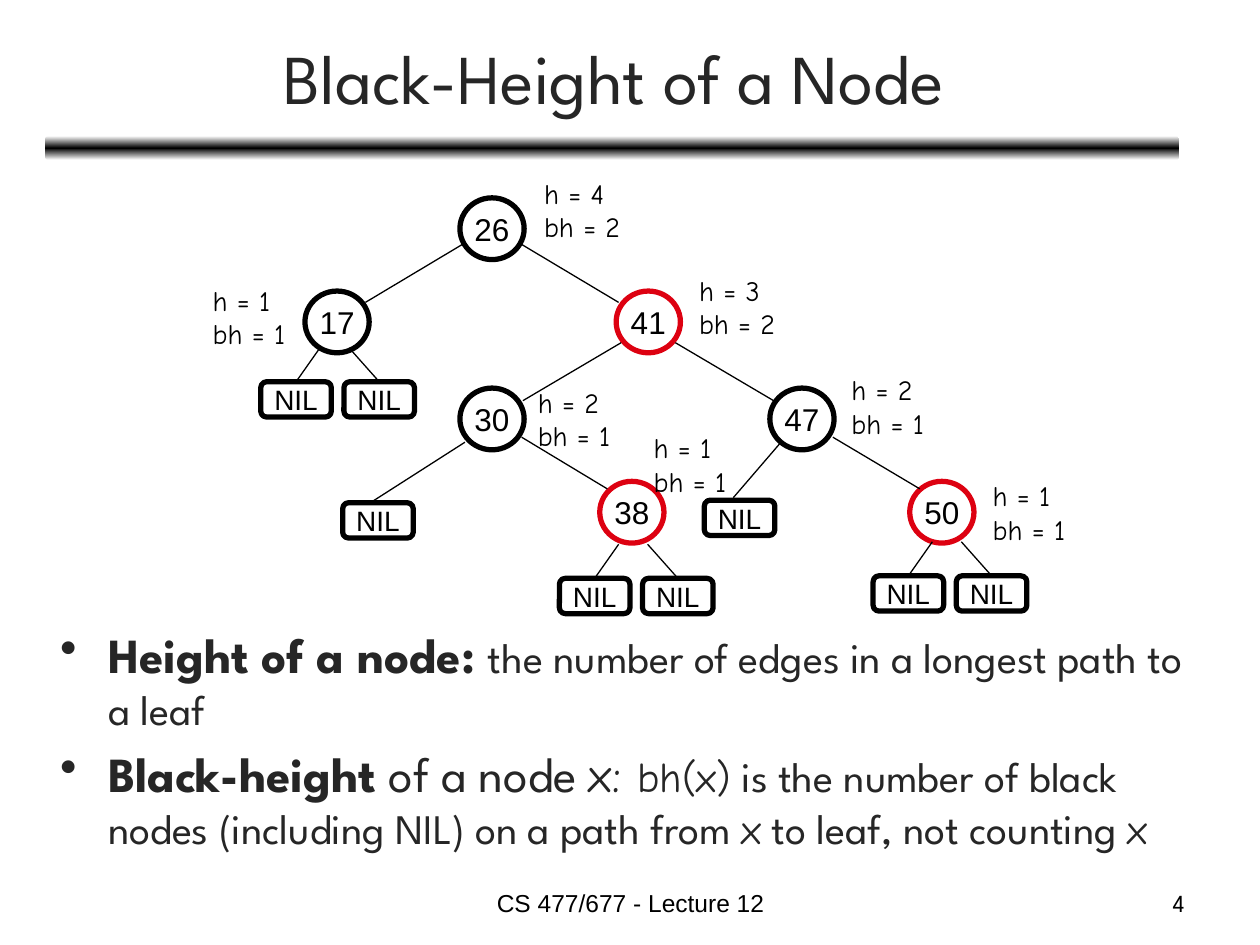
from copy import deepcopy

from pptx import Presentation
from pptx.dml.color import RGBColor
from pptx.enum.shapes import MSO_CONNECTOR, MSO_SHAPE
from pptx.enum.text import MSO_ANCHOR, PP_ALIGN
from pptx.oxml.ns import qn
from pptx.oxml.xmlchemy import OxmlElement
from pptx.util import Inches, Pt

COLORS = {"black": "000000", "white": "FFFFFF", "red": "DD0111", "ink": "262626"}
SPARTAN, COMIC, ARIAL = "League Spartan", "Comic Neue", "Arial"

TITLE = {"name": SPARTAN, "size": Pt(40), "color": "ink"}
FOOT = {"name": ARIAL, "size": Pt(14), "color": "black"}
PAGE = {**FOOT, "name": SPARTAN}
KEY = {"name": ARIAL, "size": Pt(18), "color": "black"}
LEAF = {**KEY, "size": Pt(16)}
NOTE = {**LEAF, "name": COMIC}
BODY = {"name": SPARTAN, "size": Pt(24), "color": "ink", "bold": False}
LARGE = {**BODY, "size": Pt(28)}
TERM = {**LARGE, "bold": True}
MATH = {**BODY, "name": COMIC}

# key, line colour, circle left and top, label left and top, h, bh
NODES = [
    ("26", "black", 2.15, 0.27, 2.72, 0.05, 4, 2),
    ("17", "black", 0.92, 1.01, 0.09, 0.9, 1, 1),
    ("41", "red", 3.39, 1.01, 3.95, 0.82, 3, 2),
    ("30", "black", 2.15, 1.78, 2.67, 1.71, 2, 1),
    ("47", "black", 4.61, 1.78, 5.16, 1.61, 2, 1),
    ("38", "red", 3.26, 2.52, 3.59, 2.07, 1, 1),
    ("50", "red", 5.72, 2.52, 6.28, 2.45, 1, 1),
]
EDGES = [
    (2.17, 0.64, 1.4, 1.1), (2.64, 0.64, 3.41, 1.1),
    (3.43, 1.42, 2.65, 1.88), (3.86, 1.42, 4.64, 1.88),
    (2.64, 2.17, 3.32, 2.58), (5.11, 2.17, 5.8, 2.58),
    (2.19, 2.21, 1.44, 2.69), (4.69, 2.22, 4.32, 2.65),
]
PAIRS = [(0.57, 1.73), (2.94, 3.29), (5.43, 3.27)]
SINGLES = [(1.22, 2.69), (4.09, 2.67)]

POINTS = [
    [("Height of a node: ", TERM),
     ("the number of edges in a longest path to a leaf", BODY)],
    [("Black-height ", TERM), ("of a node ", LARGE),
     ("x: ", {**MATH, "size": Pt(28)}), ("bh(x)", MATH),
     (" is the number of black nodes (including NIL) on a path from ", BODY),
     ("x", MATH), (" to leaf, not counting ", BODY), ("x", MATH)],
]


def color(name):
    return RGBColor.from_string(COLORS[name])


def add_run(para, text, style):
    run = para.add_run()
    run.text = text
    for key, value in style.items():
        if key == "color":
            run.font.color.rgb = color(value)
        else:
            setattr(run.font, key, value)


def add_text(slide, box, lines, style, align=PP_ALIGN.LEFT, wrap=True,
             anchor=MSO_ANCHOR.TOP):
    frame = slide.shapes.add_textbox(*map(Inches, box)).text_frame
    frame.word_wrap, frame.vertical_anchor = wrap, anchor
    for i, line in enumerate(lines):
        para = frame.add_paragraph() if i else frame.paragraphs[0]
        para.alignment = align
        add_run(para, line, style)


def add_node(slide, kind, box, text, style, line):
    """Add an outlined tree node with centred text."""
    node = slide.shapes.add_shape(kind, *map(Inches, box))
    node.shadow.inherit = False
    node.fill.background()
    node.line.color.rgb, node.line.width = color(line), Pt(3)
    frame = node.text_frame
    frame.word_wrap, frame.vertical_anchor = False, MSO_ANCHOR.MIDDLE
    frame.paragraphs[0].alignment = PP_ALIGN.CENTER
    add_run(frame.paragraphs[0], text, style)
    return node


def add_leaf(slide, left, top):
    return add_node(slide, MSO_SHAPE.ROUNDED_RECTANGLE,
                    (left, top, 0.56, 0.28), "NIL", LEAF, "black")


def add_edge(slide, *ends):
    edge = slide.shapes.add_connector(MSO_CONNECTOR.STRAIGHT, *map(Inches, ends))
    edge.line.color.rgb, edge.line.width = color("black"), Pt(0.75)
    edge._element.spPr.append(OxmlElement("a:effectLst"))
    return edge


def add_header(slide, left, top, width):
    add_text(slide, (left, top, width, 0.99), ["Black-Height of a Node"], TITLE,
             PP_ALIGN.CENTER, anchor=MSO_ANCHOR.MIDDLE)
    bar = slide.shapes.add_shape(MSO_SHAPE.ROUNDED_RECTANGLE, Inches(left - 0.01),
                                 Inches(top + 0.97), Inches(width), Inches(0.19))
    bar.shadow.inherit = False
    bar.line.fill.background()
    bar.fill.gradient()
    bar.fill.gradient_angle = 90
    stops = bar._element.spPr.find(qn("a:gradFill")).find(qn("a:gsLst"))
    stops.append(deepcopy(stops[0]))
    for i, (stop, name) in enumerate(zip(bar.fill.gradient_stops,
                                         ("white", "black", "white"))):
        stop.position, stop.color.rgb = i / 2, color(name)


def add_tree(slide, left, top):
    for key, line, x, y, note_x, note_y, high, black in NODES:
        add_node(slide, MSO_SHAPE.OVAL, (left + x, top + y, 0.51, 0.49),
                 key, KEY, line)
        add_text(slide, (left + note_x, top + note_y, 0.84, 0.64),
                 [f"h = {high}", f"bh = {black}"], NOTE, wrap=False)
    for x1, y1, x2, y2 in EDGES:
        add_edge(slide, left + x1, top + y1, left + x2, top + y2)
    for x, y in SINGLES:
        add_leaf(slide, left + x, top + y)
    for x, y in PAIRS:
        for shift, start in ((0, 0.47), (0.66, 0.7)):
            leaf = add_leaf(slide, left + x + shift, top + y)
            edge = add_edge(slide, left + x + start, top + y - 0.27,
                            left + x + shift + 0.28, top + y)
            edge.end_connect(leaf, 0)


def add_points(slide, left, top, width, height):
    """Add the bulleted definitions."""
    box = slide.shapes.add_textbox(*map(Inches, (left, top, width, height)))
    frame = box.text_frame
    frame.word_wrap = True
    for i, runs in enumerate(POINTS):
        para = frame.add_paragraph() if i else frame.paragraphs[0]
        props = para._p.get_or_add_pPr()
        props.set("marL", str(Inches(0.38)))
        props.set("indent", str(Inches(-0.38)))
        bullet = OxmlElement("a:buChar")
        bullet.set("char", "•")
        props.append(bullet)
        para.space_before = Pt(5.6 if i else 0)
        for text, style in runs:
            add_run(para, text, style)


def add_footer(slide, left, top):
    add_text(slide, (left, top, 3.17, 0.35), ["CS 477/677 - Lecture 12"], FOOT,
             PP_ALIGN.CENTER)
    add_text(slide, (left + 3.75, top, 2.33, 0.35), ["4"], PAGE, PP_ALIGN.RIGHT)


def main():
    deck = Presentation()
    deck.slide_width, deck.slide_height = Inches(10), Inches(7.5)
    slide = deck.slides.add_slide(deck.slide_layouts[6])
    add_header(slide, 0.37, 0.11, 9)
    add_points(slide, 0.38, 4.91, 9.34, 2.36)
    add_tree(slide, 1.5, 1.3)
    add_footer(slide, 3.42, 7)
    deck.save("out.pptx")


if __name__ == "__main__":
    main()
